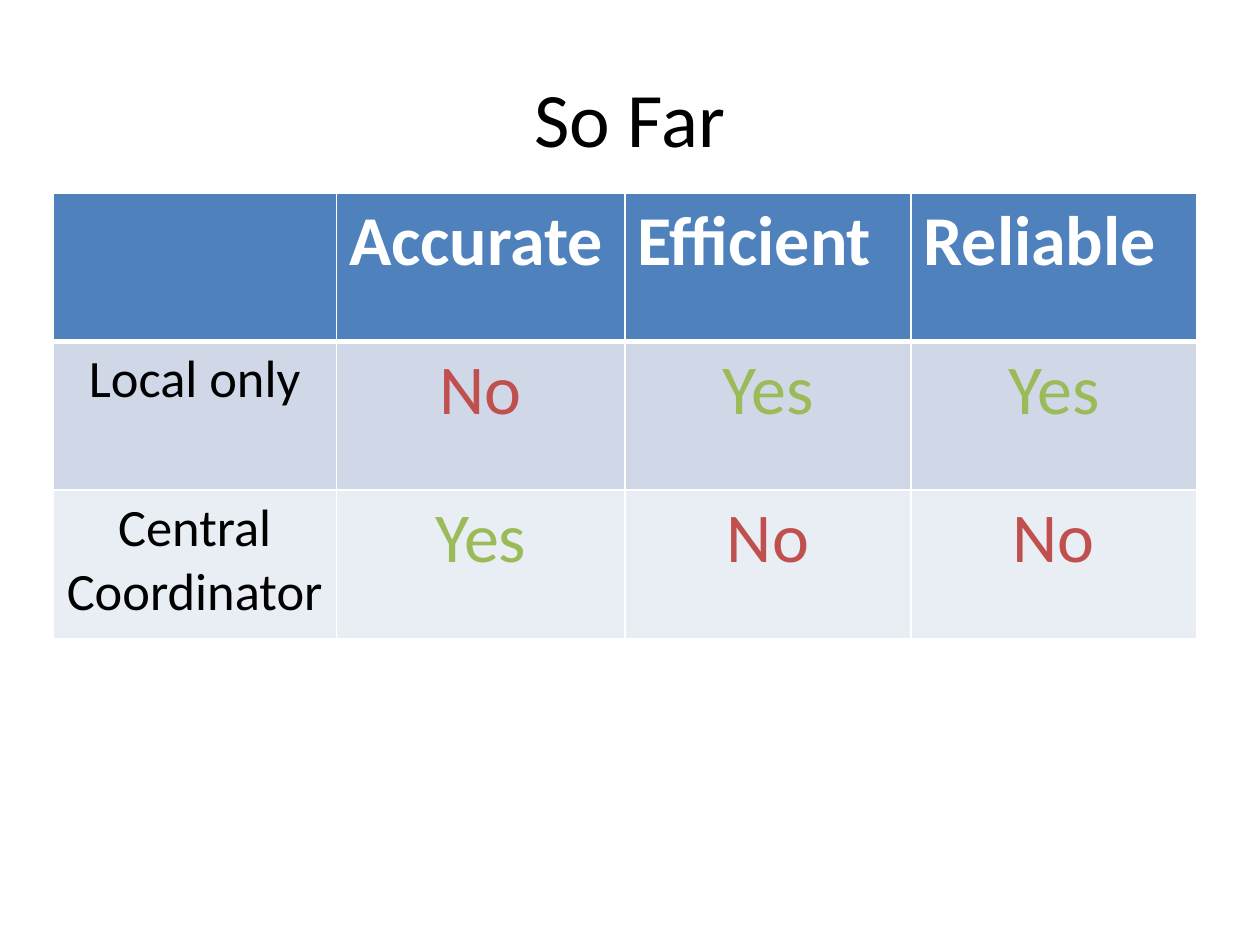
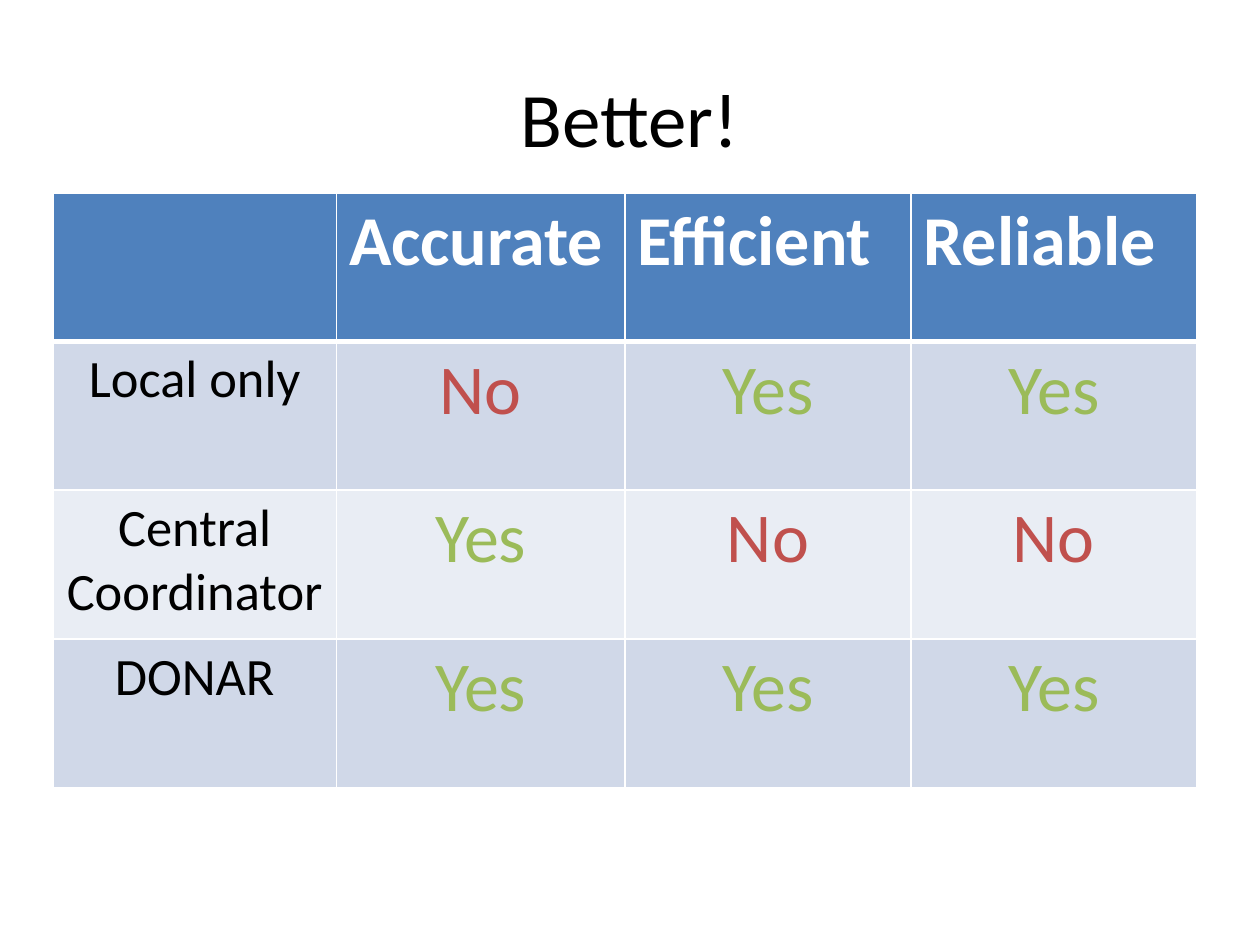
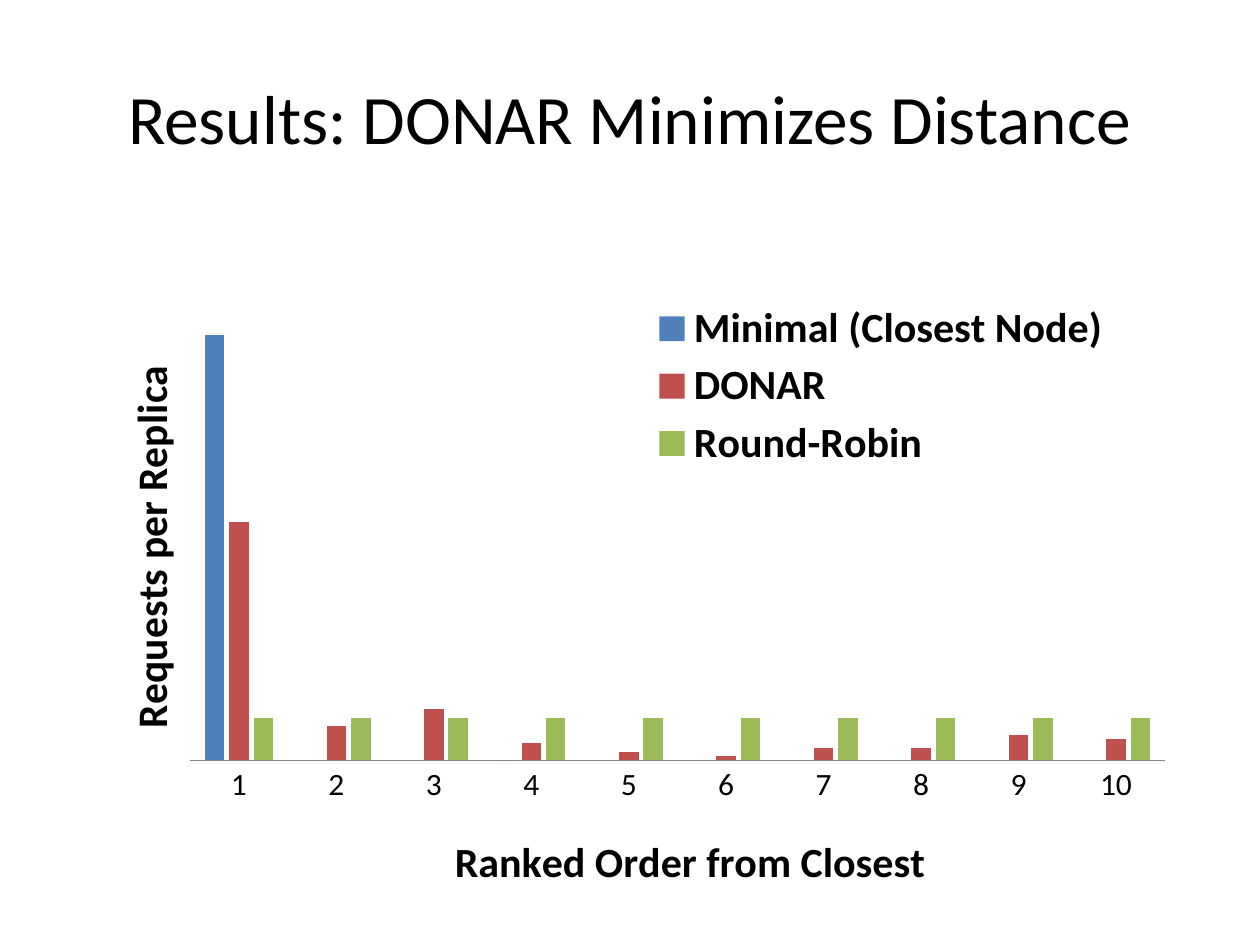
from dataclasses import dataclass

from lxml import etree
from pptx import Presentation
from pptx.chart.data import CategoryChartData
from pptx.dml.color import RGBColor
from pptx.enum.chart import XL_CHART_TYPE, XL_LEGEND_POSITION, XL_TICK_MARK
from pptx.enum.text import MSO_ANCHOR, PP_ALIGN
from pptx.oxml.ns import qn
from pptx.util import Pt

CLUSTERED = XL_CHART_TYPE.COLUMN_CLUSTERED
LEGEND_RIGHT = XL_LEGEND_POSITION.RIGHT
NO_TICK = XL_TICK_MARK.NONE
MIDDLE = MSO_ANCHOR.MIDDLE
CENTER, LEFT = PP_ALIGN.CENTER, PP_ALIGN.LEFT

EMU_PER_PX = 9144  # 100 px to the inch


@dataclass(frozen=True)
class Theme:
    font: str = "Calibri"
    black: str = "000000"
    white: str = "FFFFFF"
    blue: str = "4F81BD"
    red: str = "C0504D"
    green: str = "9BBB59"
    axis_gray: str = "868686"
    bands: tuple[str, ...] = ("D0D8E8", "E9EDF4")
    title_size: float = 44
    long_title_size: float = 39.6
    verdict_size: float = 40
    approach_size: float = 30
    chart_label_size: float = 24
    chart_size: float = 18


@dataclass(frozen=True)
class Box:
    left: int
    top: int
    width: int
    height: int

    def emu(self) -> tuple[int, ...]:
        return tuple(px(n) for n in (self.left, self.top, self.width, self.height))


@dataclass(frozen=True)
class Approach:
    name: str
    accurate: bool
    efficient: bool
    reliable: bool

    def verdicts(self) -> tuple[bool, ...]:
        return self.accurate, self.efficient, self.reliable


@dataclass(frozen=True)
class Policy:
    name: str
    requests: tuple[int, ...]
    color: str


THEME = Theme()
TITLE_BOX = Box(50, 30, 900, 125)
CHART_BOX = Box(83, 183, 850, 533)
TABLE_LEFT, TABLE_TOP, ROW_HEIGHT = 42, 153, 118
COLUMN_WIDTHS = (225, 229, 227, 227)
QUALITIES = ("Accurate", "Efficient", "Reliable")
APPROACHES = (
    Approach("Local only", False, True, True),
    Approach("Central\nCoordinator", True, False, False),
    Approach("DONAR", True, True, True),
)
POLICIES = (
    Policy("Minimal (Closest Node)", (100,) + (0,) * 9, THEME.blue),
    Policy("DONAR", (56, 8, 12, 4, 2, 1, 3, 3, 6, 5), THEME.red),
    Policy("Round-Robin", (10,) * 10, THEME.green),
)


def px(length: int) -> int:
    return length * EMU_PER_PX


def style_font(font, size: float, color: str, bold: bool = False) -> None:
    font.name = THEME.font
    font.size = Pt(size)
    font.bold = bold
    font.color.rgb = RGBColor.from_string(color)


def add_titled_slide(prs, title: str, size: float = THEME.title_size):
    slide = prs.slides.add_slide(prs.slide_layouts[6])
    frame = slide.shapes.add_textbox(*TITLE_BOX.emu()).text_frame
    frame.word_wrap = True
    frame.vertical_anchor = MIDDLE
    heading = frame.paragraphs[0]
    heading.text = title
    heading.alignment = CENTER
    style_font(heading.font, size, THEME.black)
    return slide


# Comparison table
def set_borders(cell, top: int, bottom: int) -> None:
    properties = cell._tc.get_or_add_tcPr()
    for side, points in (("L", 1), ("R", 1), ("T", top), ("B", bottom)):
        line = etree.SubElement(properties, qn(f"a:ln{side}"), w=str(Pt(points)))
        fill = etree.SubElement(line, qn("a:solidFill"))
        etree.SubElement(fill, qn("a:srgbClr"), val=THEME.white)


def fill_cell(cell, text: str, size: float, color: str, align, bold: bool = False) -> None:
    cell.text = text
    for paragraph in cell.text_frame.paragraphs:
        paragraph.alignment = align
        style_font(paragraph.font, size, color, bold)


def add_comparison(slide, approaches: tuple[Approach, ...]) -> None:
    row_count = len(approaches) + 1
    box = Box(TABLE_LEFT, TABLE_TOP, sum(COLUMN_WIDTHS), ROW_HEIGHT * row_count)
    table = slide.shapes.add_table(row_count, len(COLUMN_WIDTHS), *box.emu()).table
    table.horz_banding = False
    for column, width in zip(table.columns, COLUMN_WIDTHS):
        column.width = px(width)

    for index, row in enumerate(table.rows):
        row.height = px(ROW_HEIGHT)
        band = THEME.bands[(index - 1) % 2] if index else THEME.blue
        for cell in row.cells:
            set_borders(cell, top=3 if index == 1 else 1, bottom=1 if index else 3)
            cell.fill.solid()
            cell.fill.fore_color.rgb = RGBColor.from_string(band)

    for col, quality in enumerate(QUALITIES, 1):
        fill_cell(table.cell(0, col), quality, THEME.verdict_size, THEME.white, LEFT, True)
    for index, approach in enumerate(approaches, 1):
        fill_cell(table.cell(index, 0), approach.name, THEME.approach_size, THEME.black, CENTER)
        for col, passed in enumerate(approach.verdicts(), 1):
            word, color = ("Yes", THEME.green) if passed else ("No", THEME.red)
            fill_cell(table.cell(index, col), word, THEME.verdict_size, color, CENTER)


# Distance chart
def place(element, position: int, **settings: str | float) -> None:
    """Give a chart part a manual layout, in fractions of the chart."""
    for old in element.findall(qn("c:layout")):
        element.remove(old)
    layout = etree.Element(qn("c:layout"))
    manual = etree.SubElement(layout, qn("c:manualLayout"))
    for tag, value in settings.items():
        etree.SubElement(manual, qn(f"c:{tag}"), val=str(value))
    element.insert(position, layout)


def add_axis_title(axis, text: str, x: float, y: float) -> None:
    paragraph = axis.axis_title.text_frame.paragraphs[0]
    paragraph.text = text
    style_font(paragraph.font, THEME.chart_label_size, THEME.black, True)
    place(axis.axis_title._element, 1, xMode="edge", yMode="edge", x=x, y=y)


def add_distance_chart(slide) -> None:
    data = CategoryChartData()
    data.categories = [str(rank) for rank in range(1, 11)]
    for policy in POLICIES:
        data.add_series(policy.name, policy.requests)
    chart = slide.shapes.add_chart(CLUSTERED, *CHART_BOX.emu(), data).chart
    chart.has_title = False
    style_font(chart.font, THEME.chart_size, THEME.black)

    plot = chart.plots[0]
    plot.vary_by_categories = False
    plot.gap_width = 150
    plot.overlap = -25
    for series, policy in zip(plot.series, POLICIES):
        series.format.fill.solid()
        series.format.fill.fore_color.rgb = RGBColor.from_string(policy.color)
    place(chart._chartSpace.chart.plotArea, 0, layoutTarget="inner", xMode="edge",
          yMode="edge", x=0.08, y=0.03, w=0.91, h=0.77)

    ranks = chart.category_axis
    ranks.major_tick_mark = NO_TICK
    ranks.format.line.color.rgb = RGBColor.from_string(THEME.axis_gray)
    add_axis_title(ranks, "Ranked Order from Closest", 0.32, 0.9)

    requests = chart.value_axis
    requests.has_major_gridlines = False
    requests.minimum_scale, requests.maximum_scale = 0, 120
    requests.visible = False
    add_axis_title(requests, "Requests per Replica", 0.01, 0.2)

    chart.has_legend = True
    legend = chart.legend
    legend.position = LEGEND_RIGHT
    legend.include_in_layout = True
    style_font(legend.font, THEME.chart_label_size, THEME.black, True)
    place(legend._element, 1, xMode="edge", yMode="edge", x=0.5, y=0.1, w=0.45, h=0.27)


def main() -> None:
    prs = Presentation()
    prs.slide_width, prs.slide_height = px(1000), px(750)

    add_comparison(add_titled_slide(prs, "So Far"), APPROACHES[:2])
    add_comparison(add_titled_slide(prs, "Better!"), APPROACHES)
    add_distance_chart(
        add_titled_slide(prs, "Results: DONAR Minimizes Distance", THEME.long_title_size))

    prs.save("out.pptx")


if __name__ == "__main__":
    main()
